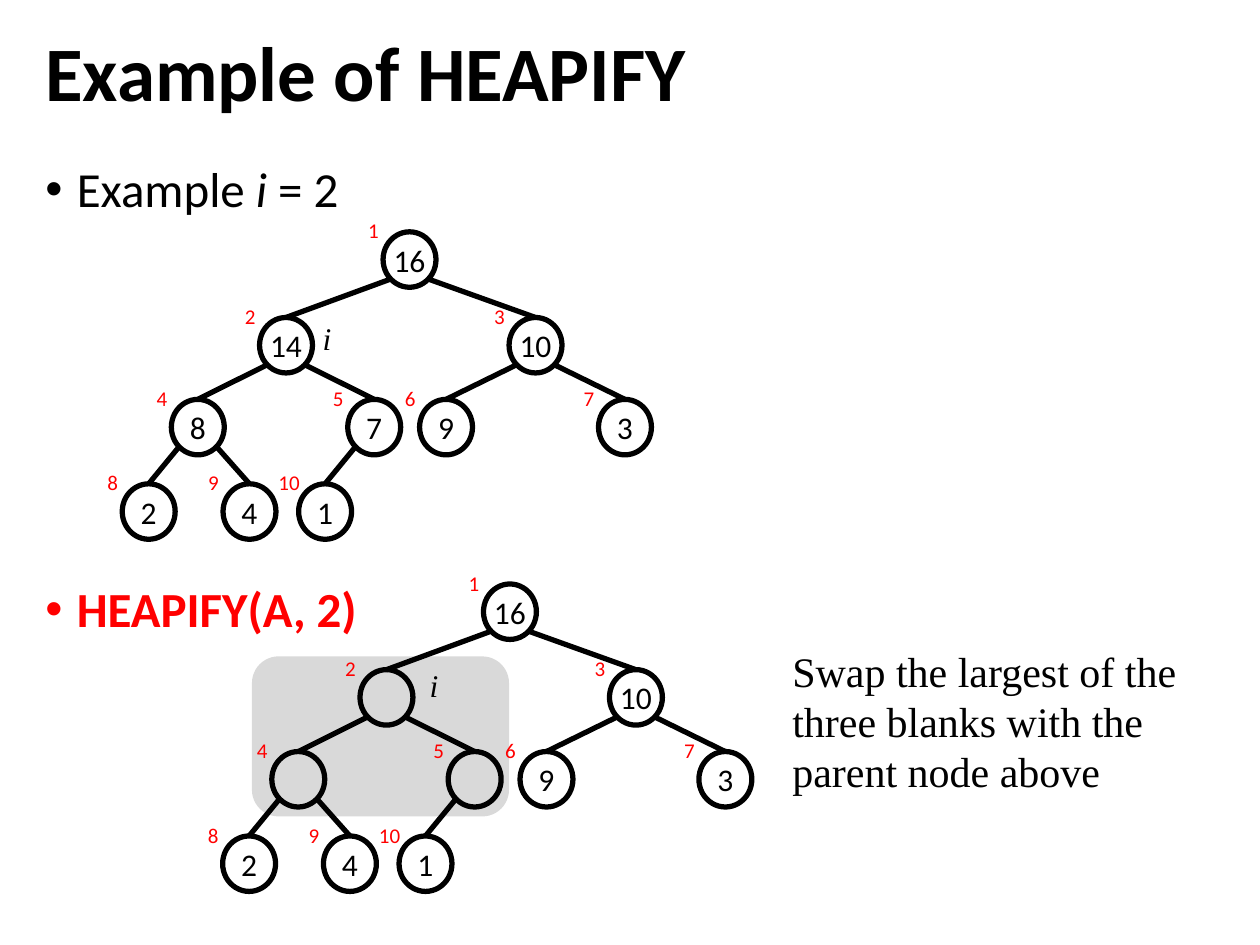
from lxml.etree import SubElement
from pptx import Presentation
from pptx.dml.color import RGBColor
from pptx.enum.shapes import MSO_CONNECTOR, MSO_SHAPE
from pptx.enum.text import MSO_ANCHOR, MSO_AUTO_SIZE, PP_ALIGN
from pptx.oxml.ns import qn
from pptx.util import Inches, Pt

COLORS = {"ink": "000000", "accent": "FF0000", "panel": "D9D9D9"}
SANS, SERIF = "Calibri", "Times New Roman"

presentation = Presentation()
presentation.slide_width = Inches(10)
presentation.slide_height = Inches(7.5)
slide = presentation.slides.add_slide(presentation.slide_layouts[1])

# The slide is a grid of 100 columns by 75 rows
COLUMN = presentation.slide_width / 100
ROW = presentation.slide_height / 75


def place(left, top, width, height):
    """Turn columns and rows into slide lengths."""
    return [round(left * COLUMN), round(top * ROW), round(width * COLUMN), round(height * ROW)]


def write(paragraph, text, size=18, font=SANS, color="ink", bold=False, italic=False, align=PP_ALIGN.CENTER):
    """Add one formatted run to a paragraph."""
    paragraph.alignment = align
    run = paragraph.add_run()
    run.text = text
    run.font.size = Pt(size)
    run.font.name = font
    run.font.bold = bold
    run.font.italic = italic
    run.font.color.rgb = RGBColor.from_string(COLORS[color])


# Title
title = slide.shapes.title
title.left, title.top, title.width, title.height = place(2.6, 1.5, 94.7, 9.2)
title.text_frame.auto_size = MSO_AUTO_SIZE.NONE
title.text_frame.vertical_anchor = MSO_ANCHOR.MIDDLE
heading = title.text_frame.paragraphs[0]
heading.line_spacing = 0.9
write(heading, "Example of HEAPIFY", size=44, bold=True, align=PP_ALIGN.LEFT)

# Bullets, one beside each tree
body = slide.placeholders[1]
body.left, body.top, body.width, body.height = place(2.6, 12.6, 94.7, 59.7)
body.text_frame.auto_size = MSO_AUTO_SIZE.NONE
bullets = [
    (0, [("Example ", {}), ("i ", {"italic": True}), ("= 2", {})]),
    (210, [("HEAPIFY(A, 2)", {"bold": True, "color": "accent"})]),
]
for number, (space_before, runs) in enumerate(bullets):
    paragraph = body.text_frame.add_paragraph() if number else body.text_frame.paragraphs[0]
    paragraph.line_spacing = 0.9
    paragraph.space_before = Pt(space_before)
    properties = paragraph._p.get_or_add_pPr()
    properties.set("marL", str(Inches(0.25)))
    properties.set("indent", str(-Inches(0.25)))
    SubElement(properties, qn("a:buFont"), typeface="Arial")
    SubElement(properties, qn("a:buChar"), char="•")
    for text, style in runs:
        write(paragraph, text, size=28, align=PP_ALIGN.LEFT, **style)

# Panel behind the three blank nodes
panel = slide.shapes.add_shape(MSO_SHAPE.ROUNDED_RECTANGLE, *place(20, 52.1, 20.4, 12.7))
panel.shadow.inherit = False
panel.fill.solid()
panel.fill.fore_color.rgb = RGBColor.from_string(COLORS["panel"])
panel.line.fill.background()
title.element.addprevious(panel.element)

# Heap nodes in index order: left column of each, top row of each level
NODE_WIDTH, NODE_HEIGHT = 4.2, 4.4
NODE_LEFTS = [30.4, 20.6, 40.4, 13.6, 27.6, 33.3, 47.5, 9.7, 17.7, 23.7]
LEVEL_TOPS = [18.4, 25.2, 31.7, 38.4]
VALUES = ["16", "14", "10", "8", "7", "9", "3", "2", "4", "1"]
BLANKS = {2, 4, 5}

# Shift of each tree, its blank nodes, and where "i" stands beside node 2
trees = [
    (0, 0, set(), (24.6, 24.8)),
    (7.97, 27.95, BLANKS, (33.1, 52.4)),
]
labels = []
for shift_x, shift_y, blanks, marker in trees:
    nodes = {}
    for index, (node_left, value) in enumerate(zip(NODE_LEFTS, VALUES), start=1):
        left = node_left + shift_x
        top = LEVEL_TOPS[index.bit_length() - 1] + shift_y
        node = slide.shapes.add_shape(MSO_SHAPE.OVAL, *place(left, top, NODE_WIDTH, NODE_HEIGHT))
        nodes[index] = node
        node.shadow.inherit = False
        node.fill.background()
        node.line.color.rgb = RGBColor.from_string(COLORS["ink"])
        node.line.width = Pt(3)
        frame = node.text_frame
        frame.word_wrap = False
        frame.vertical_anchor = MSO_ANCHOR.MIDDLE
        frame.margin_left = frame.margin_right = frame.margin_top = frame.margin_bottom = 0
        if index not in blanks:
            write(frame.paragraphs[0], value)
        labels.append((str(index), (left - 2.6, top - 1.6, 3.7, 3), False, {"size": 12, "color": "accent"}))

        # Edge from the parent's lower left or right to the top of this node
        if index > 1:
            parent = nodes[index // 2]
            share = 0.85 if index % 2 else 0.15
            connector = slide.shapes.add_connector(
                MSO_CONNECTOR.STRAIGHT,
                round(parent.left + share * parent.width),
                round(parent.top + 0.85 * parent.height),
                node.left,
                node.top,
            )
            connector.end_connect(node, 0)
            connector.line.color.rgb = RGBColor.from_string(COLORS["ink"])
            connector.line.width = Pt(3)
            SubElement(connector.element.spPr, qn("a:effectLst"))
    labels.append(("i", (*marker, 2.7, 4), False, {"font": SERIF, "italic": True}))

# Node indexes, markers and the note
labels.append((
    "Swap the largest of the three blanks with the parent node above",
    (61.9, 50.7, 34, 13.1),
    True,
    {"size": 24, "font": SERIF, "align": PP_ALIGN.LEFT},
))
for text, area, wrap, style in labels:
    text_box = slide.shapes.add_textbox(*place(*area))
    text_box.text_frame.word_wrap = wrap
    write(text_box.text_frame.paragraphs[0], text, **style)

presentation.save("out.pptx")
